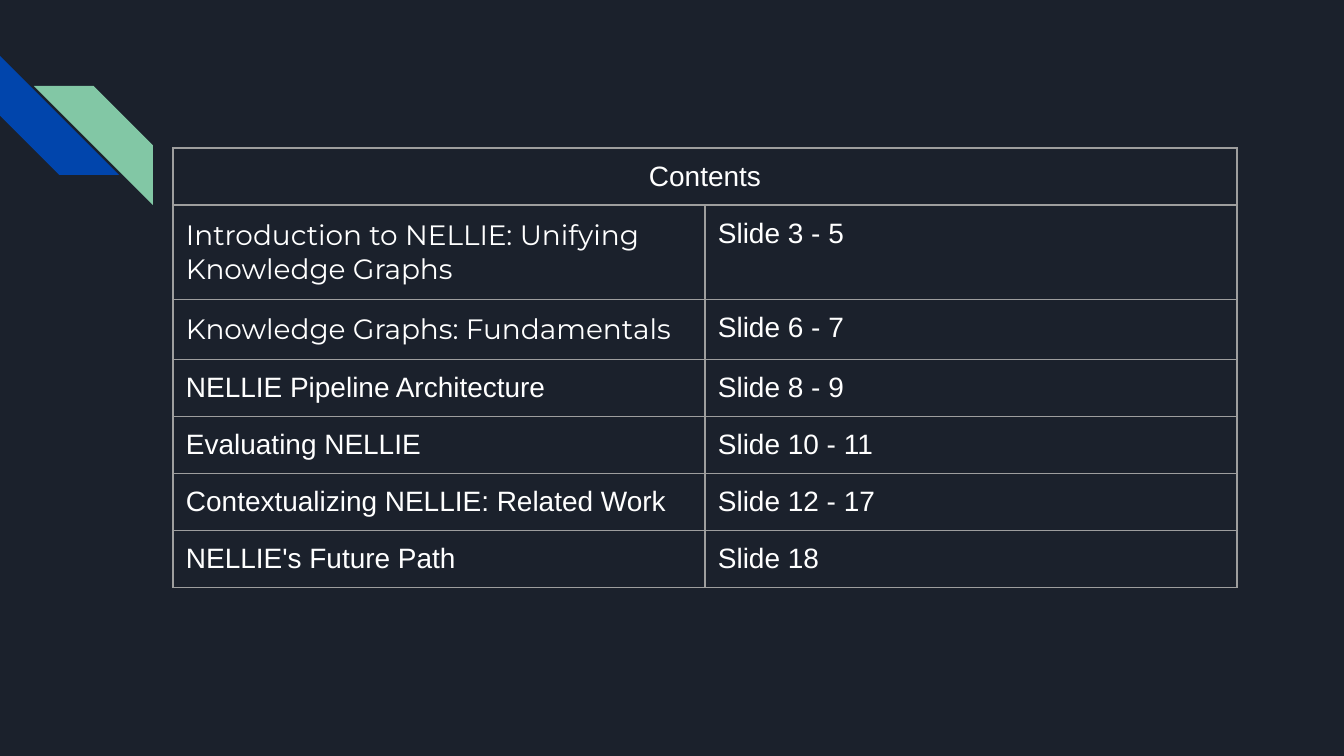
from lxml import etree
from pptx import Presentation
from pptx.dml.color import RGBColor
from pptx.enum.shapes import MSO_SHAPE
from pptx.enum.text import PP_ALIGN
from pptx.oxml.ns import qn
from pptx.util import Pt

PX = 914400 / 134.4
STRIPE = MSO_SHAPE.DIAGONAL_STRIPE
CENTER, LEFT = PP_ALIGN.CENTER, PP_ALIGN.LEFT
NAVY = RGBColor(0x1B, 0x21, 0x2C)
BLUE = RGBColor(0x01, 0x45, 0xAC)
GREEN = RGBColor(0x82, 0xC7, 0xA5)
GRAY = RGBColor(0x9E, 0x9E, 0x9E)
WHITE = RGBColor(0xFF, 0xFF, 0xFF)


def px(n):
    return round(n * PX)


def style_cell(cell, font, align):
    """Format the text and draw thin gray borders on an unfilled cell."""
    cell.margin_left = cell.margin_right = px(13)
    cell.margin_top = cell.margin_bottom = px(13)
    p = cell.text_frame.paragraphs[0]
    p.alignment = align
    for r in p.runs:
        r.font.name = font
        r.font.size = Pt(15)
        r.font.color.rgb = WHITE
    tcPr = cell._tc.get_or_add_tcPr()
    for side in ("a:lnL", "a:lnR", "a:lnT", "a:lnB"):
        ln = etree.SubElement(tcPr, qn(side), w=str(Pt(0.75)))
        fill = etree.SubElement(ln, qn("a:solidFill"))
        etree.SubElement(fill, qn("a:srgbClr"), val=str(GRAY))
    cell.fill.background()


prs = Presentation()
prs.slide_width, prs.slide_height = px(1344), px(756)
s = prs.slides.add_slide(prs.slide_layouts[6])
s.background.fill.solid()
s.background.fill.fore_color.rgb = NAVY

# Corner stripes
for x, y, color, rotation, flip in [
    (0, 56, BLUE, 270, False),
    (34, 86, GREEN, 0, True),
]:
    sp = s.shapes.add_shape(STRIPE, px(x), px(y), px(119), px(119))
    sp.rotation = rotation
    if flip:
        sp._element.spPr.find(qn("a:xfrm")).set("flipH", "1")
    sp.fill.solid()
    sp.fill.fore_color.rgb = color
    sp.line.fill.background()
    sp.shadow.inherit = False

# Contents table
contents = [
    ("Introduction to NELLIE: Unifying Knowledge Graphs", "Slide 3 - 5", "Montserrat"),
    ("Knowledge Graphs: Fundamentals", "Slide 6 - 7", "Montserrat"),
    ("NELLIE Pipeline Architecture", "Slide 8 - 9", "Arial"),
    ("Evaluating NELLIE", "Slide 10 - 11", "Arial"),
    ("Contextualizing NELLIE: Related Work", "Slide 12 - 17", "Arial"),
    ("NELLIE's Future Path", "Slide 18", "Arial"),
]
rows = len(contents) + 1
table = s.shapes.add_table(rows, 2, px(173), px(148), px(1064), px(56 * rows)).table
table.first_row = table.horz_banding = False

header = table.cell(0, 0)
header.merge(table.cell(0, 1))
header.text_frame.text = "Contents"
for cell in table.rows[0].cells:
    style_cell(cell, "Arial", CENTER)

for i, (topic, slides, topic_font) in enumerate(contents, 1):
    for j, (text, font) in enumerate([(topic, topic_font), (slides, "Arial")]):
        cell = table.cell(i, j)
        cell.text_frame.text = text
        style_cell(cell, font, LEFT)

prs.save("out.pptx")
